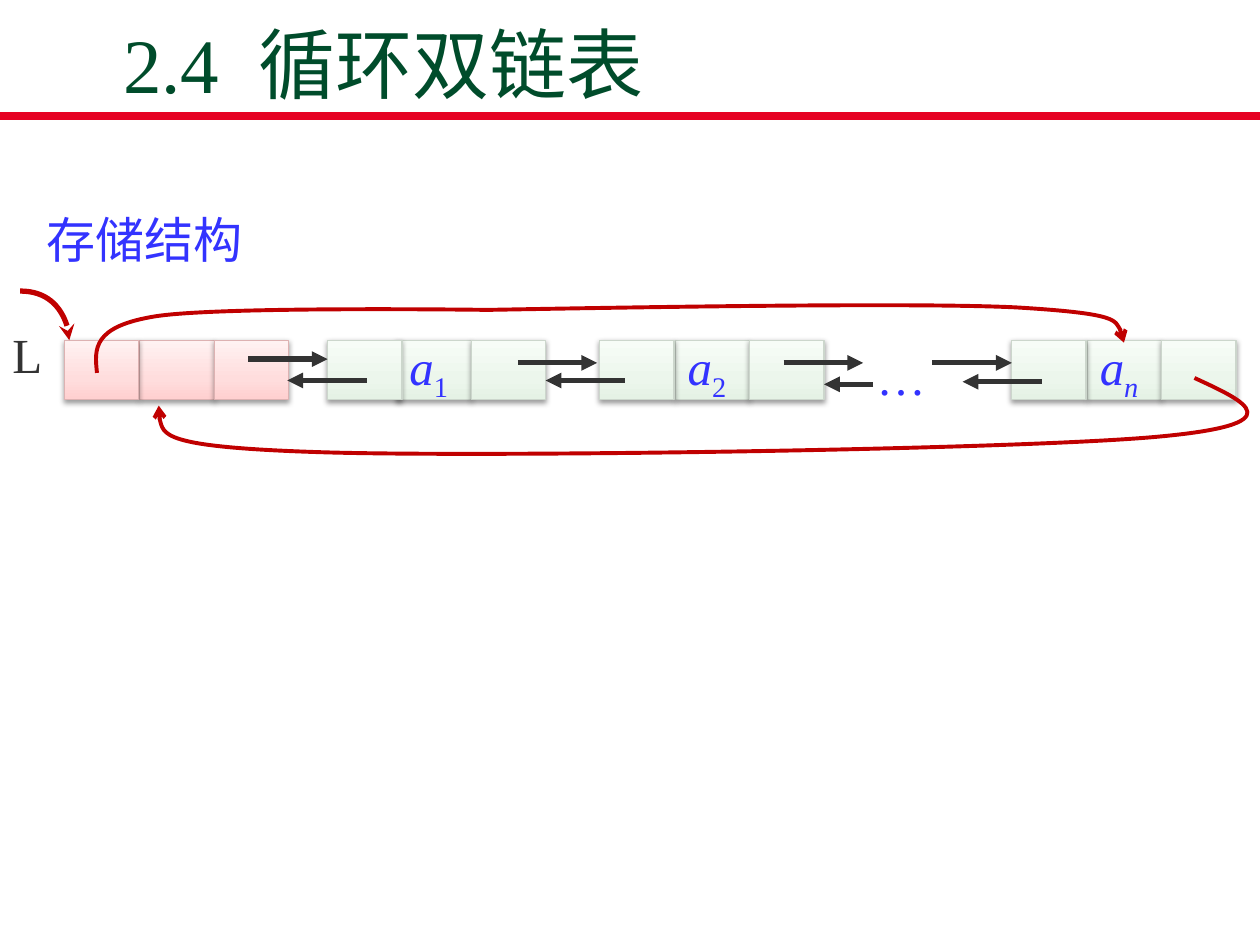
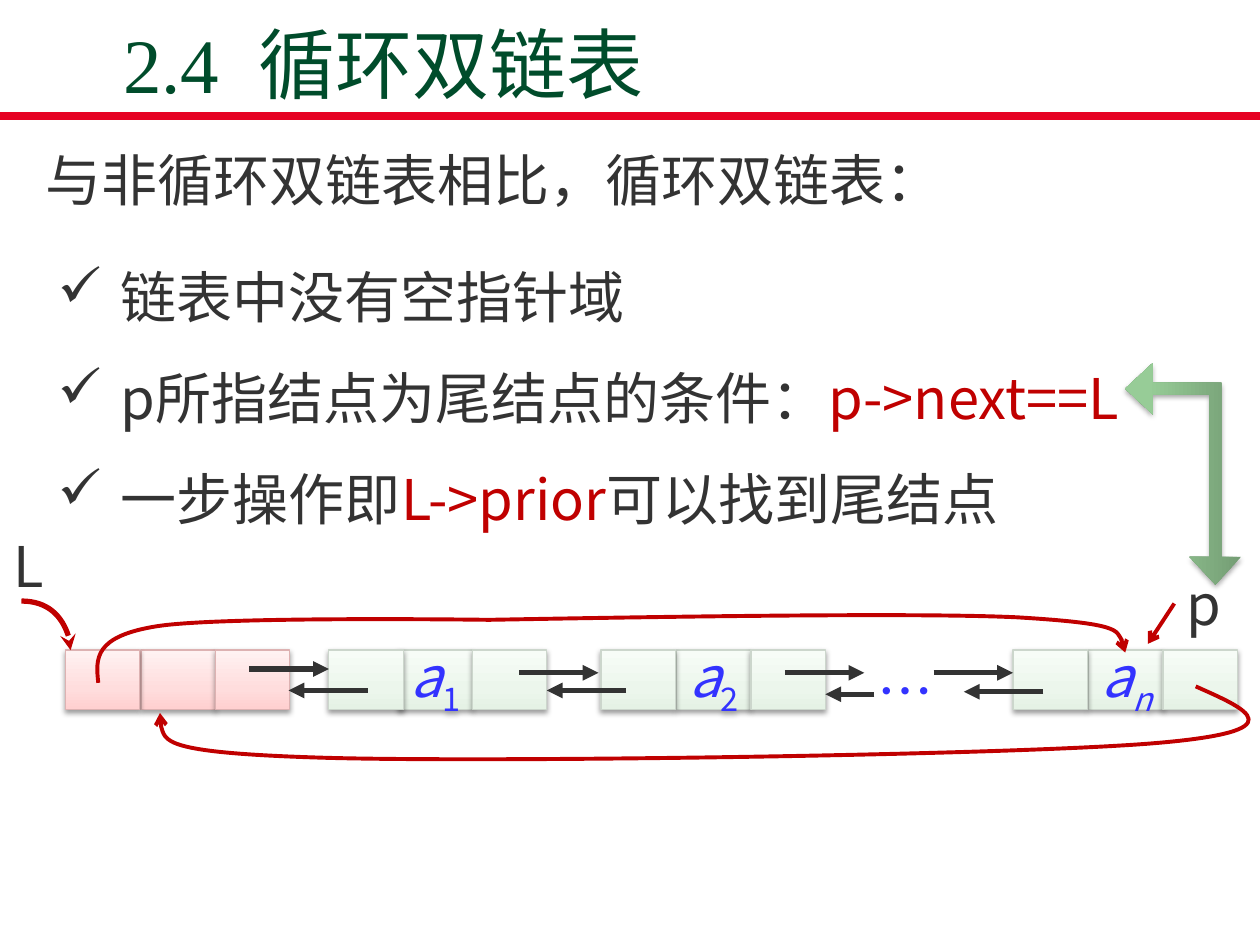
from lxml import etree
from pptx import Presentation
from pptx.dml.color import RGBColor
from pptx.enum.shapes import MSO_CONNECTOR, MSO_SHAPE
from pptx.enum.text import MSO_ANCHOR, MSO_AUTO_SIZE
from pptx.oxml.ns import qn
from pptx.util import Inches, Pt

STRAIGHT = MSO_CONNECTOR.STRAIGHT
RECT = MSO_SHAPE.RECTANGLE
ELBOW = MSO_SHAPE.LEFT_UP_ARROW
MIDDLE, BOTTOM = MSO_ANCHOR.MIDDLE, MSO_ANCHOR.BOTTOM
GROW, FIXED = MSO_AUTO_SIZE.SHAPE_TO_FIT_TEXT, MSO_AUTO_SIZE.NONE

SERIF = "Times New Roman"
SANS = "Noto Sans CJK SC"
HEX = {
    "band": "E60223", "title": "004C2B", "ink": "333333",
    "blue": "3333FF", "red": "C00000", "black": "000000",
    "pink edge": "DDB2B2", "mint edge": "CCD6CC",
}
FADES = {
    "pink": [(0, "FFD0D0"), (35, "FFDDDD"), (100, "FFF2F2")],
    "mint": [(0, "E5F2E5"), (35, "ECF6EC"), (100, "F7FCF7")],
    "leaf": [(0, "749D74"), (80, "97CC97"), (100, "97CE97")],
}
CELL_W, CELL_H = 0.59, 0.47
NODES = [
    (0.51, 0.6, "pink", ""),
    (2.6, 0.55, "mint", "1"),
    (4.76, 0.6, "mint", "2"),
    (8.03, 0.6, "mint", "n"),
]
LINKS = [
    (1.97, 2.6, 0.15), (4.11, 4.74, 0.18), (6.22, 6.85, 0.18),
    (7.4, 8.03, 0.18), (2.91, 2.28, 0.32), (4.96, 4.33, 0.32),
    (6.93, 6.54, 0.35), (8.27, 7.64, 0.33),
]
HOOK = [(0.16, -0.39), (0.37, -0.39), (0.55, -0.21), (0.55, 0)]
NEXT = [
    (9.48, 0.3), (9.89, 0.49), (10.3, 0.67), (9.15, 0.77), (7.99, 0.87),
    (3.88, 0.93), (2.56, 0.89), (1.25, 0.85), (1.25, 0.69), (1.26, 0.52),
]
PRIOR = [
    (0.77, 0.26), (0.75, 0.07), (0.73, -0.11), (1.24, -0.19), (1.76, -0.27),
    (3.87, -0.24), (3.87, -0.24), (5, -0.26), (7.22, -0.3), (8.06, -0.26),
    (8.9, -0.21), (8.91, -0.1), (8.92, 0.02),
]


def rgb(name):
    return RGBColor.from_string(HEX[name])


def sub(parent, tag, **attrs):
    return etree.SubElement(parent, qn(tag), attrs)


def style(run, size, font, color):
    run.font.size = Pt(size)
    run.font.name = font
    run.font.color.rgb = rgb(color)
    sub(run.font._element, "a:ea", typeface=SANS)


def write(para, parts, size, font):
    for text, color in parts:
        run = para.add_run()
        run.text = text
        style(run, size, font, color)


def label(slide, box, parts, size, font, fit=GROW):
    shape = slide.shapes.add_textbox(*map(Inches, box))
    frame = shape.text_frame
    frame.word_wrap = True
    frame.auto_size = fit
    write(frame.paragraphs[0], parts, size, font)
    return frame


def stroke(shape, color, width, head=None):
    shape.line.color.rgb = rgb(color)
    shape.line.width = Pt(width)
    if head:
        sub(shape._element.spPr.find(qn("a:ln")), "a:tailEnd", type=head)


def line(slide, start, end, color, width, head=None):
    ends = map(Inches, (*start, *end))
    link = slide.shapes.add_connector(STRAIGHT, *ends)
    stroke(link, color, width, head)
    sub(link._element.spPr, "a:effectLst")


def curve(slide, points, width, head):
    spots = [(Inches(x), Inches(y)) for x, y in points]
    build = slide.shapes.build_freeform(*spots[0])
    build.add_line_segments(spots[1:], close=False)
    shape = build.convert_to_shape()
    track = next(shape._element.iter(qn("a:path")))
    steps = track.findall(qn("a:lnTo"))
    for i in range(0, len(steps), 3):
        bend = sub(track, "a:cubicBezTo")
        for step in steps[i:i + 3]:
            bend.append(step[0])
            track.remove(step)
    shape.fill.background()
    shape.shadow.inherit = False
    stroke(shape, "red", width, head)


def fade(shape, name, alpha):
    shape.fill.background()
    props = shape._element.spPr
    blank = props.find(qn("a:noFill"))
    grad = etree.Element(qn("a:gradFill"), rotWithShape="1")
    stops = sub(grad, "a:gsLst")
    for pos, color in FADES[name]:
        stop = sub(stops, "a:gs", pos=str(pos * 1000))
        sub(stop, "a:srgbClr", val=color)
    sub(grad, "a:lin", ang="16200000", scaled="0")
    props.replace(blank, grad)
    shape.shadow.inherit = False
    shade = sub(props.find(qn("a:effectLst")), "a:outerShdw",
                blurRad=str(Pt(3.1)), dist=str(Pt(1.6)),
                dir="5400000", rotWithShape="0")
    tint = sub(shade, "a:srgbClr", val=HEX["black"])
    sub(tint, "a:alpha", val=str(alpha * 1000))


def cell(slide, left, top, hue):
    box = map(Inches, (left, top, CELL_W, CELL_H))
    shape = slide.shapes.add_shape(RECT, *box)
    stroke(shape, hue + " edge", 0.75)
    fade(shape, hue, 38)
    return shape


def node(slide, left, top, step, hue, index, size, font):
    mid = cell(slide, left + step, top, hue)
    cell(slide, left + step + CELL_W, top, hue)
    cell(slide, left, top, hue)
    if index:
        frame = mid.text_frame
        frame.word_wrap = False
        frame.vertical_anchor = MIDDLE
        para = frame.paragraphs[0]
        para.alignment = 1
        write(para, [("a", "blue"), (index, "blue")], size, font)
        base, low = para.runs
        base.font.italic = True
        low.font.italic = index == "n"
        low.font._element.set("baseline", "-25000")


def chain(slide, left, top, size, font, depth=1):
    def place(points, scale=1):
        return [(left + x, top + y * scale) for x, y in points]

    for x, step, hue, index in NODES:
        node(slide, left + x, top, step, hue, index, size, font)
    dots = (left + 6.86, top, 0.63, 0.57)
    label(slide, dots, [("…", "blue")], size, font)
    for start, end, y in LINKS:
        line(slide, *place([(start, y), (end, y)]), "ink", 3, "triangle")
    curve(slide, place(HOOK), 3, "stealth")
    curve(slide, place(NEXT, depth), 2.25, "arrow")
    curve(slide, place(PRIOR), 2.25, "arrow")


def header(deck):
    slide = deck.slides.add_slide(deck.slide_layouts[6])
    line(slide, (0, 0.92), (10, 0.92), "band", 4.5)
    parts = [(t, "title") for t in ("2.4", " ", "循环双链表")]
    frame = label(slide, (0.88, 0.26, 8.83, 0.65), parts, 44, SERIF, FIXED)
    frame.vertical_anchor = BOTTOM
    frame.paragraphs[0].runs[1].font._element.set("spc", "1100")
    return slide


def checks(slide, box, rows):
    frame = label(slide, box, rows[0], 32, SANS)
    for row in rows[1:]:
        write(frame.add_paragraph(), row, 32, SANS)
    for para in frame.paragraphs:
        para.line_spacing = 1.5
        props = para._p.get_or_add_pPr()
        props.set("marL", str(Inches(0.5)))
        props.set("indent", str(-Inches(0.5)))
        sub(props, "a:buChar", char="✓")


def tail(slide, left, top):
    line(slide, (left, top + 0.32), (left - 0.21, top + 0.64),
         "red", 2.25, "arrow")
    label(slide, (left, top, 0.39, 0.64), [("p", "ink")], 32, SANS)
    box = map(Inches, (left - 0.81, top - 1.17, 1.76, 0.92))
    arrow = slide.shapes.add_shape(ELBOW, *box)
    arrow.rotation = 270
    for i, value in enumerate((0.104, 0.222, 0.24)):
        arrow.adjustments[i] = value
    arrow.line.fill.background()
    fade(arrow, "leaf", 35)


def store(deck):
    slide = header(deck)
    label(slide, (0.27, 1.61, 1.89, 0.57), [("存储结构", "blue")], 28, SERIF)
    label(slide, (0, 2.53, 0.47, 0.57), [("L", "ink")], 28, SERIF)
    chain(slide, 0, 2.7, 28, SERIF)


def compare(deck):
    slide = header(deck)
    checks(slide, (0.36, 1.77, 9.34, 2.52), [
        [("链表中没有空指针域", "ink")],
        [("p所指结点为尾结点的条件：", "ink"), ("p->next==L", "red")],
        [("一步操作即", "ink"), ("L->prior", "red"),
         ("可以找到尾结点", "ink")],
    ])
    lead = [("与非循环双链表相比，循环双链表：", "ink")]
    label(slide, (0.26, 1.11, 9.19, 0.64), lead, 32, SANS)
    label(slide, (0.01, 4.17, 0.47, 0.64), [("L", "ink")], 32, SANS)
    chain(slide, 0.01, 5.16, 32, SANS, 0.96)
    tail(slide, 9.32, 4.47)


def main():
    deck = Presentation()
    deck.slide_width, deck.slide_height = Inches(10), Inches(7.5)
    store(deck)
    compare(deck)
    deck.save("out.pptx")


if __name__ == "__main__":
    main()
